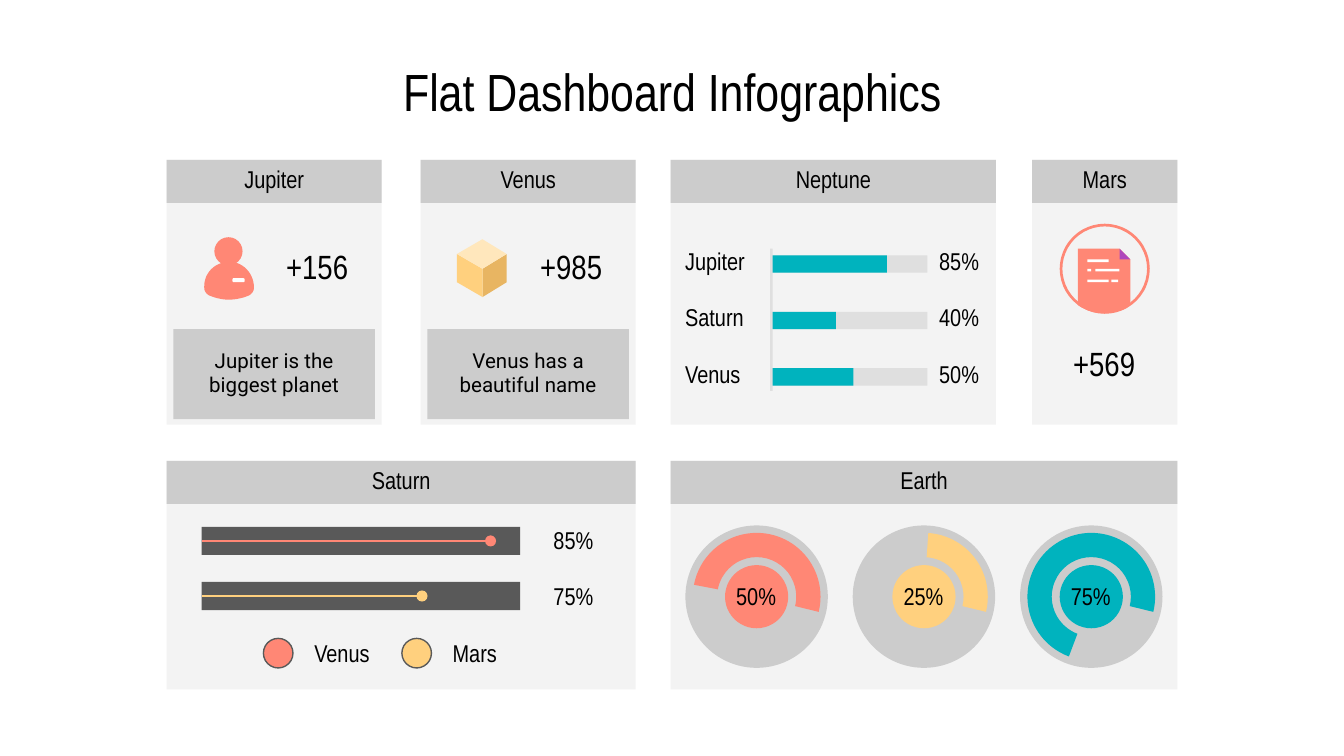
from dataclasses import dataclass

from lxml import etree
from pptx import Presentation
from pptx.dml.color import RGBColor
from pptx.enum.shapes import MSO_CONNECTOR as Connector, MSO_SHAPE as Shape
from pptx.enum.text import MSO_ANCHOR as Anchor, MSO_AUTO_SIZE as AutoSize, PP_ALIGN as Align
from pptx.oxml.ns import qn
from pptx.util import Inches, Pt


@dataclass(frozen=True)
class Theme:
    black: str = "000000"
    white: str = "FFFFFF"
    panel: str = "F3F3F3"
    header: str = "CCCCCC"
    track: str = "DFDFDF"
    dark: str = "595959"
    coral: str = "FF8775"
    yellow: str = "FFD07E"
    amber: str = "E8B562"
    cream: str = "FFE7BC"
    teal: str = "00B3BE"
    purple: str = "AF47BC"
    font: str = "Arial Narrow"
    note_font: str = "Roboto"
    title_size: int = 28
    value_size: int = 18
    label_size: int = 13
    note_size: int = 11


THEME = Theme()


def paint(shape, color, border=None):
    shape.shadow.inherit = False
    shape.fill.solid()
    shape.fill.fore_color.rgb = RGBColor.from_string(color)
    if border:
        shape.line.color.rgb = RGBColor.from_string(border)
        shape.line.width = Pt(0.75)
    else:
        shape.line.fill.background()
    return shape


def add_block(page, left, top, width, height, color, kind=Shape.RECTANGLE, border=None, adjust=()):
    box = page.shapes.add_shape(kind, Inches(left), Inches(top), Inches(width), Inches(height))
    for index, value in enumerate(adjust):
        box.adjustments[index] = value
    return paint(box, color, border)


def add_disc(page, center_x, center_y, size, color, kind=Shape.OVAL, **style):
    return add_block(page, center_x - size / 2, center_y - size / 2, size, size, color, kind, **style)


def cubic(start, numbers, count=12):
    corners = [start, numbers[:2], numbers[2:4], numbers[4:]]
    for step in range(1, count + 1):
        t = step / count
        weights = ((1 - t) ** 3, 3 * t * (1 - t) ** 2, 3 * t * t * (1 - t), t ** 3)
        yield tuple(sum(w * c[axis] for w, c in zip(weights, corners)) for axis in (0, 1))


def add_outline(page, start, steps, color):
    points = [start]
    for step in steps:
        points.extend([step] if len(step) == 2 else cubic(points[-1], step))
    corners = [(Inches(x), Inches(y)) for x, y in points]
    builder = page.shapes.build_freeform(*corners[0])
    builder.add_line_segments(corners[1:], close=True)
    return paint(builder.convert_to_shape(), color)


def write(frame, text, size, font, align, anchor):
    frame.word_wrap = True
    frame.auto_size = AutoSize.NONE
    frame.vertical_anchor = anchor
    frame.margin_left = frame.margin_right = frame.margin_top = frame.margin_bottom = Inches(0.1)
    frame.text = text
    para = frame.paragraphs[0]
    para.alignment = align
    para.font.size = Pt(size)
    para.font.name = font
    para.font.color.rgb = RGBColor.from_string(THEME.black)


def add_label(page, text, left, top, width, height=0.28, size=THEME.label_size,
              font=THEME.font, align=Align.LEFT):
    box = page.shapes.add_textbox(Inches(left), Inches(top), Inches(width), Inches(height))
    write(box.text_frame, text, size, font, align, Anchor.MIDDLE)


def add_title(page, text):
    title = page.shapes.title
    title.left, title.top, title.width, title.height = map(Inches, (0.45, 0.34, 9.1, 0.63))
    write(title.text_frame, text, THEME.title_size, THEME.font, Align.CENTER, Anchor.TOP)


def add_panel(page, heading, left, top, width, height, heading_width=0.71):
    add_block(page, left, top, width, height, THEME.panel)
    add_block(page, left, top, width, 0.32, THEME.header)
    add_label(page, heading, left + (width - heading_width) / 2, top, heading_width,
              align=Align.CENTER)


def add_fact_panel(page, left, heading, value, note):
    add_panel(page, heading, left, 1.19, 1.6, 1.97)
    add_block(page, left + 0.05, 2.45, 1.5, 0.67, THEME.header)
    add_label(page, note, left + 0.1, 2.52, 1.4, 0.5, THEME.note_size, THEME.note_font, Align.CENTER)
    add_label(page, value, left + 0.79, 1.84, 0.71, size=THEME.value_size)


def add_person(page):
    add_outline(page, (1.7, 1.95), [
        (1.6, 1.95, 1.52, 2.03, 1.52, 2.13), (1.52, 2.14),
        (1.52, 2.17, 1.54, 2.19, 1.56, 2.2), (1.61, 2.22, 1.66, 2.23, 1.7, 2.23),
        (1.75, 2.23, 1.8, 2.22, 1.85, 2.2), (1.87, 2.19, 1.89, 2.17, 1.89, 2.14),
        (1.89, 2.05, 1.83, 1.97, 1.74, 1.95)], THEME.coral)
    add_block(page, 1.73, 2.07, 0.09, 0.03, THEME.white, Shape.ROUNDED_RECTANGLE, adjust=(0.3,))
    add_disc(page, 1.7, 1.87, 0.21, THEME.coral)


def add_cube(page):
    left, middle, right = 3.4, 3.59, 3.77
    for side, color in ((right, THEME.amber), (left, THEME.yellow)):
        add_outline(page, (side, 1.89), [(middle, 2), (middle, 2.21), (side, 2.1)], color)
    add_outline(page, (middle, 1.78), [(left, 1.89), (middle, 2), (right, 1.89)], THEME.cream)


def add_document(page):
    add_disc(page, 8.22, 2, 0.67, THEME.coral, Shape.DONUT, adjust=(0.03,))
    add_outline(page, (8.02, 1.85), [
        (8.02, 2.27), (8.08, 2.31, 8.14, 2.33, 8.22, 2.33),
        (8.29, 2.33, 8.36, 2.31, 8.41, 2.27), (8.41, 1.93), (8.33, 1.85)], THEME.coral)
    add_outline(page, (8.33, 1.85), [(8.33, 1.93), (8.41, 1.93)], THEME.purple)
    for left, top, width in ((8.09, 1.93, 0.16), (8.09, 2, 0.03), (8.15, 2, 0.18),
                             (8.09, 2.08, 0.16), (8.27, 2.08, 0.05)):
        add_block(page, left, top, width, 0.02, THEME.white)


def add_bars(page):
    bars = (("Jupiter", "85%", 0.86), ("Saturn", "40%", 0.48), ("Venus", "50%", 0.61))
    for row, (name, value, width) in enumerate(bars):
        top = 1.9 + 0.42 * row
        add_block(page, 5.74, top, 1.16, 0.13, THEME.track)
        add_block(page, 5.74, top, width, 0.13, THEME.teal)
        add_label(page, name, 5, top - 0.1, 0.83)
        add_label(page, value, 6.89, top - 0.1, 0.54)
    add_block(page, 5.73, 1.85, 0.02, 1.06, THEME.track)


def add_slider(page, top, reach, color, value):
    track = add_block(page, 1.5, top, 2.37, 0.21, THEME.dark)
    middle = track.top + track.height // 2
    line = page.shapes.add_connector(Connector.STRAIGHT, track.left, middle, Inches(reach), middle)
    line.begin_connect(track, 1)
    line.line.color.rgb = RGBColor.from_string(color)
    line.line.width = Pt(1.5)
    etree.SubElement(line.line._get_or_add_ln(), qn("a:tailEnd"), type="oval")
    etree.SubElement(line._element.spPr, qn("a:effectLst"))
    add_label(page, value, 4.02, top - 0.04, 0.54)


def add_key(page, left, name, color):
    add_block(page, left, 4.75, 0.22, 0.22, color, Shape.OVAL, border=THEME.dark)
    add_label(page, name, left + 0.28, 4.72, 0.75)


def add_dial(page, center, value, color, start):
    add_disc(page, center, 4.44, 1.06, THEME.header)
    add_disc(page, center, 4.44, 0.47, color)
    add_disc(page, center, 4.44, 0.95, color, Shape.BLOCK_ARC, adjust=(start, 8.25, 0.19))
    add_label(page, value, center - 0.4, 4.27, 0.79, 0.32, align=Align.CENTER)


def main():
    deck = Presentation()
    deck.slide_width, deck.slide_height = Inches(10), Inches(10 * 9 / 16)
    page = deck.slides.add_slide(deck.slide_layouts[5])
    add_title(page, "Flat Dashboard Infographics")

    add_fact_panel(page, 1.24, "Jupiter", "+156", "Jupiter is the biggest planet")
    add_person(page)
    add_fact_panel(page, 3.13, "Venus", "+985", "Venus has a beautiful name")
    add_cube(page)
    add_panel(page, "Neptune", 4.99, 1.19, 2.42, 1.97, 0.95)
    add_bars(page)
    add_panel(page, "Mars", 7.68, 1.19, 1.08, 1.97)
    add_document(page)
    add_label(page, "+569", 7.82, 2.47, 0.79, 0.47, THEME.value_size, align=Align.CENTER)

    add_panel(page, "Saturn", 1.24, 3.43, 3.49, 1.7)
    add_slider(page, 3.92, 3.65, THEME.coral, "85%")
    add_slider(page, 4.33, 3.14, THEME.yellow, "75%")
    add_key(page, 1.96, "Venus", THEME.coral)
    add_key(page, 2.99, "Mars", THEME.yellow)

    add_panel(page, "Earth", 4.99, 3.43, 3.77, 1.7)
    dials = (("50%", THEME.coral, 114.45), ("25%", THEME.yellow, 164.34), ("75%", THEME.teal, 66.34))
    for index, (value, color, start) in enumerate(dials):
        add_dial(page, 5.63 + 1.245 * index, value, color, start)
    deck.save("out.pptx")


if __name__ == "__main__":
    main()
